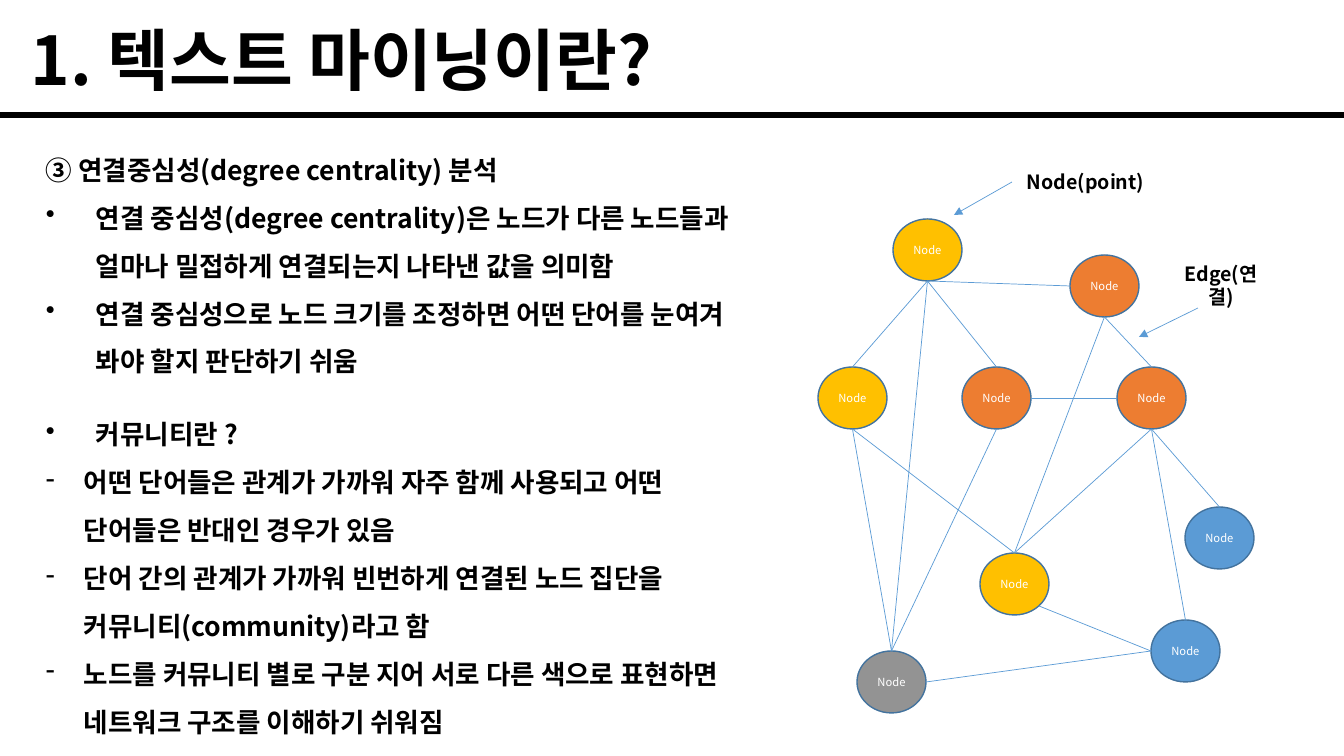
from lxml.etree import SubElement
from math import cos, radians, sin

from pptx import Presentation
from pptx.dml.color import RGBColor
from pptx.enum.shapes import MSO_CONNECTOR, MSO_SHAPE
from pptx.enum.text import MSO_ANCHOR, MSO_AUTO_SIZE, PP_ALIGN
from pptx.oxml.ns import qn
from pptx.util import Emu, Pt

BLACK, WHITE = "000000", "FFFFFF"
YELLOW, ORANGE, BLUE, GRAY = "FFC000", "ED7D31", "5B9BD5", "939393"
OUTLINE = "43739E"
NODE_W, NODE_H = 69, 62

# Ellipse sides: connection site and angle in degrees, clockwise from the right
SIDES = {"top": (0, 270), "left": (2, 180), "bottom": (4, 90),
         "lower right": (5, 45), "right": (6, 0)}

NODES = {
    "top": (893, 219, YELLOW),
    "left": (818, 367, YELLOW),
    "center": (962, 367, ORANGE),
    "upper right": (1070, 255, ORANGE),
    "lower center": (980, 553, YELLOW),
    "right": (1117, 367, ORANGE),
    "lower right": (1151, 620, BLUE),
    "far right": (1185, 507, BLUE),
    "lower left": (857, 651, GRAY),
}

# Edges that leave a node's bottom and reach another node's top
DOWNWARD = {
    "top": ["left", "center", "lower left"],
    "upper right": ["lower center", "right"],
    "left": ["lower left", "lower center"],
    "center": ["lower left"],
    "right": ["lower center", "lower right", "far right"],
}
SIDEWAYS = [
    ("top", "bottom", "upper right", "left"),
    ("right", "left", "center", "right"),
    ("lower left", "right", "lower right", "left"),
    ("lower center", "lower right", "lower right", "left"),
]

# Bullet, indent, space before in points, text
BODY = [
    (None, 0, 0, "③ 연결중심성(degree centrality) 분석"),
    ("•", 50, 0, "연결 중심성(degree centrality)은 노드가 다른 노드들과 "
                 "얼마나 밀접하게 연결되는지 나타낸 값을 의미함"),
    ("•", 50, 0, "연결 중심성으로 노드 크기를 조정하면 어떤 단어를 눈여겨 "
                 "봐야 할지 판단하기 쉬움"),
    ("•", 50, 18, "커뮤니티란 ?"),
    ("-", 38, 0, "어떤 단어들은 관계가 가까워 자주 함께 사용되고 어떤 "
                 "단어들은 반대인 경우가 있음"),
    ("-", 38, 0, "단어 간의 관계가 가까워 빈번하게 연결된 노드 집단을 "
                 "커뮤니티(community)라고 함"),
    ("-", 38, 0, "노드를 커뮤니티 별로 구분 지어 서로 다른 색으로 표현하면 "
                 "네트워크 구조를 이해하기 쉬워짐"),
]


def px(n):
    return Emu(round(n * 914400 / 100.8))


def rgb(color):
    return RGBColor.from_string(color)


class Canvas:
    font = "Noto Sans CJK KR"

    def __init__(self, slide):
        self.shapes = slide.shapes

    def set_text(self, p, text, size, color=BLACK, bold=True):
        p.text = text
        for r in p.runs:
            r.font.size = Pt(size)
            r.font.bold = bold
            r.font.color.rgb = rgb(color)
            r.font.name = self.font
            SubElement(r._r.get_or_add_rPr(), qn("a:ea"), typeface=self.font)

    def text_box(self, x, y, w, h):
        tf = self.shapes.add_textbox(px(x), px(y), px(w), px(h)).text_frame
        tf.word_wrap = True
        tf.auto_size = MSO_AUTO_SIZE.SHAPE_TO_FIT_TEXT
        return tf

    def title(self, x, y, w, h, text):
        self.set_text(self.text_box(x, y, w, h).paragraphs[0], text, 48)

    def body(self, x, y, w, h, items):
        tf = self.text_box(x, y, w, h)
        for i, (bullet, indent, before, text) in enumerate(items):
            p = tf.add_paragraph() if i else tf.paragraphs[0]
            if bullet:
                pPr = p._p.get_or_add_pPr()
                pPr.set("marL", str(px(indent)))
                pPr.set("indent", str(-px(indent)))
                SubElement(pPr, qn("a:buChar"), char=bullet)
            p.line_spacing = 1.5
            if before:
                p.space_before = Pt(before)
            self.set_text(p, text, 19)

    def shape(self, kind, x, y, w, h, fill, outline=None):
        sp = self.shapes.add_shape(kind, px(x), px(y), px(w), px(h))
        sp.shadow.inherit = False
        sp.fill.solid()
        sp.fill.fore_color.rgb = rgb(fill)
        if outline:
            sp.line.color.rgb = rgb(outline)
            sp.line.width = Pt(1)
        else:
            sp.line.fill.background()
        tf = sp.text_frame
        tf.word_wrap = True
        tf.vertical_anchor = MSO_ANCHOR.MIDDLE
        tf.paragraphs[0].alignment = PP_ALIGN.CENTER
        return sp

    def node(self, x, y, fill):
        sp = self.shape(MSO_SHAPE.OVAL, x, y, NODE_W, NODE_H, fill, OUTLINE)
        tf = sp.text_frame
        tf.margin_left = tf.margin_right = 0
        self.set_text(tf.paragraphs[0], "Node", 8, WHITE, bold=False)
        return sp

    def label(self, x, y, w, h, text):
        sp = self.shape(MSO_SHAPE.RECTANGLE, x, y, w, h, WHITE)
        self.set_text(sp.text_frame.paragraphs[0], text, 14)

    def line(self, start, end, color=BLUE, width=0.5, arrow=False):
        """Draw a straight line between two (x, y) points in EMU."""
        cxn = self.shapes.add_connector(MSO_CONNECTOR.STRAIGHT, *start, *end)
        cxn.line.color.rgb = rgb(color)
        cxn.line.width = Pt(width)
        spPr = cxn._element.spPr
        if arrow:
            SubElement(spPr.find(qn("a:ln")), qn("a:tailEnd"), type="triangle")
        SubElement(spPr, qn("a:effectLst"))
        return cxn

    def edge(self, source, source_side, target, target_side):
        """Join two nodes at named sides of their ellipses."""
        cxn = self.line(side_point(source, source_side),
                        side_point(target, target_side))
        props = cxn._element.find(".//" + qn("p:cNvCxnSpPr"))
        for tag, sp, side in (("a:stCxn", source, source_side),
                              ("a:endCxn", target, target_side)):
            SubElement(props, qn(tag), id=str(sp.shape_id),
                       idx=str(SIDES[side][0]))


def side_point(sp, side):
    angle = radians(SIDES[side][1])
    return (Emu(round(sp.left + sp.width / 2 * (1 + cos(angle)))),
            Emu(round(sp.top + sp.height / 2 * (1 + sin(angle)))))


def main():
    prs = Presentation()
    prs.slide_width, prs.slide_height = px(1344), px(756)
    c = Canvas(prs.slides.add_slide(prs.slide_layouts[6]))

    c.title(21, 13, 1205, 92, "1. 텍스트 마이닝이란?")
    c.body(36, 133, 731, 639, BODY)
    c.line((0, px(115)), (px(1344), px(115)), BLACK, 4.5)

    nodes = {name: c.node(*place) for name, place in NODES.items()}
    for source, targets in DOWNWARD.items():
        for target in targets:
            c.edge(nodes[source], "bottom", nodes[target], "top")
    for source, source_side, target, target_side in SIDEWAYS:
        c.edge(nodes[source], source_side, nodes[target], target_side)

    c.label(1012, 162, 147, 40, "Node(point)")
    c.label(1164, 265, 114, 40, "Edge(연결)")
    c.line((px(1012), px(182)), (px(954), px(215)), arrow=True)
    c.line((px(1198), px(308)), (px(1139), px(337)), arrow=True)

    prs.save("out.pptx")


if __name__ == "__main__":
    main()
